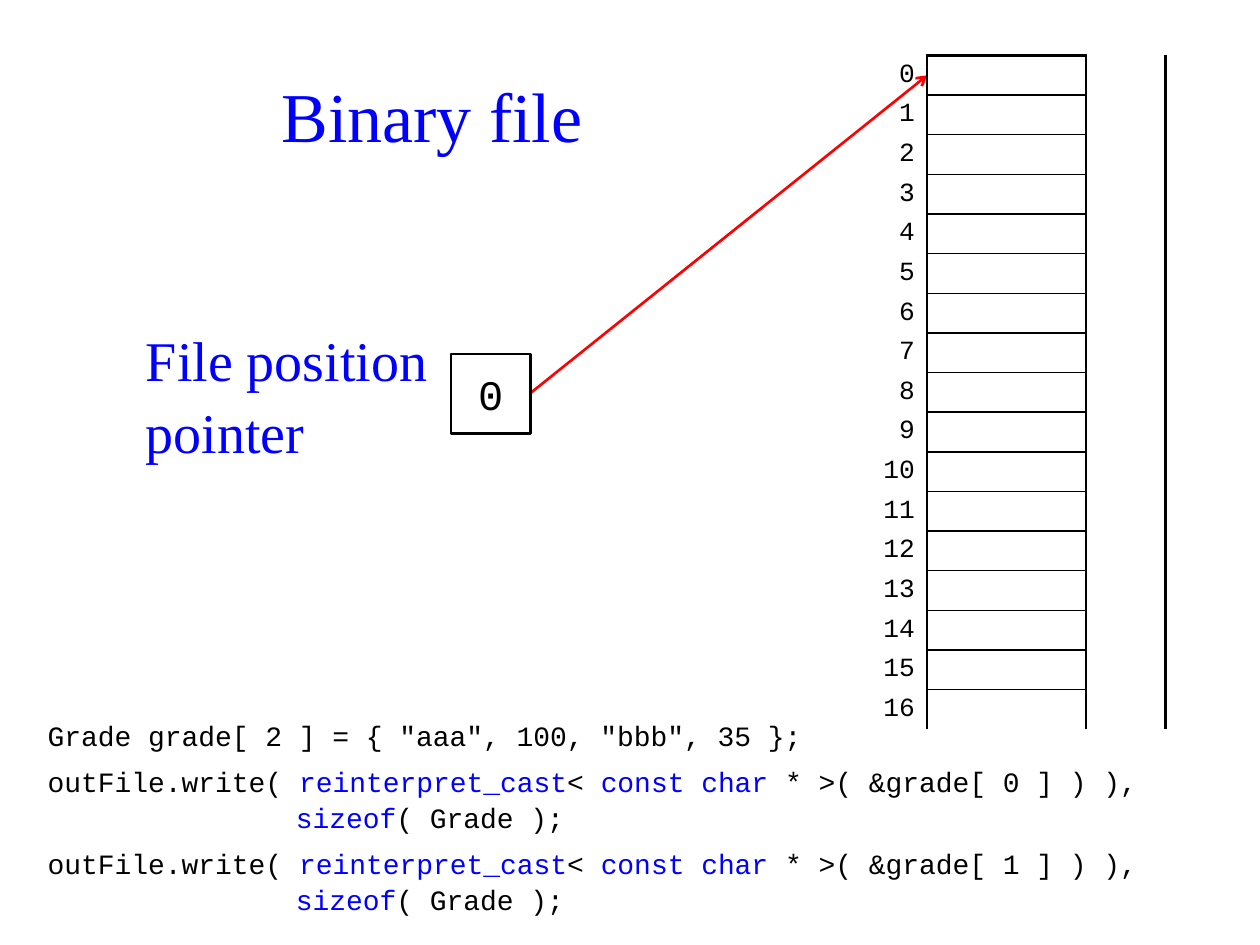
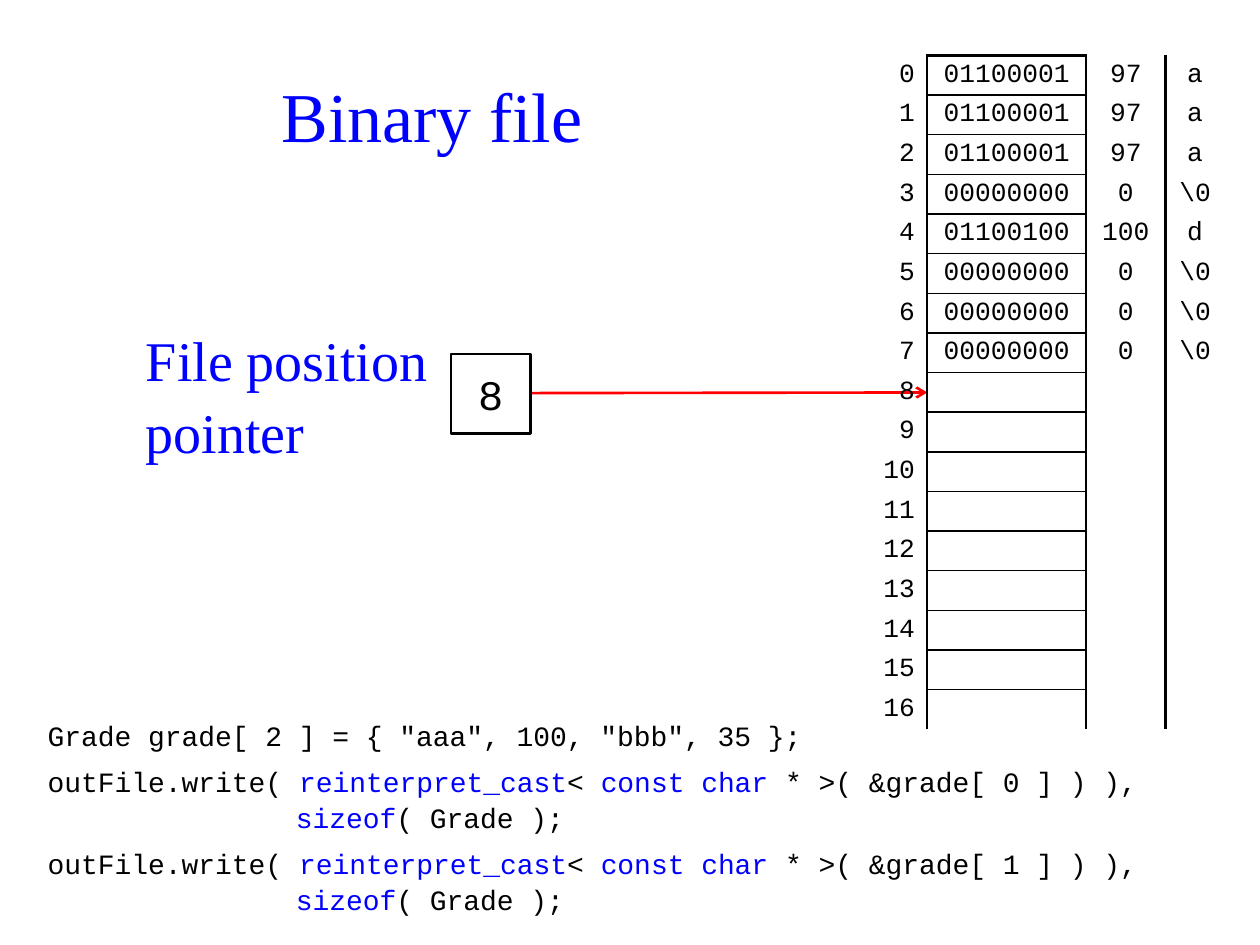
from pptx import Presentation
from pptx.dml.color import RGBColor
from pptx.enum.shapes import MSO_CONNECTOR, MSO_SHAPE
from pptx.enum.text import MSO_ANCHOR, PP_ALIGN
from pptx.oxml.ns import qn
from pptx.util import Inches, Pt
from lxml.etree import SubElement

INK = {"blue": "0000FF", "black": "000000", "red": "FF0000"}
SERIF, MONO = "Times New Roman", "Courier New"
LEFT, MID, RIGHT = PP_ALIGN.LEFT, PP_ALIGN.CENTER, PP_ALIGN.RIGHT

ROWS, TOP, HIGH = 17, 0.44, 5.35
STEP = HIGH / ROWS
COLS = [0.47, 1.26, 0.63, 0.47]
PADS = [0.1, 0.08, 0.06, 0.1]
EDGE = 6.89
PLAIN = "{2D5ABB26-0587-4C30-8999-92F81FD0307C}"


def put(frame, lines, size=15, font=MONO, ink="black", align=LEFT,
        before=0, space=None, hang=0):
    for i, line in enumerate(lines):
        para = frame.paragraphs[0] if i == 0 else frame.add_paragraph()
        para.alignment = align
        para.space_before = Pt(before)
        if space:
            para.line_spacing = space
        if hang:
            prop = para._p.get_or_add_pPr()
            prop.set("marL", str(Inches(hang)))
            prop.set("indent", str(-Inches(hang)))
        for part, tint in [(line, ink)] if isinstance(line, str) else line:
            run = para.add_run()
            run.text = part
            run.font.name = font
            run.font.size = Pt(size)
            run.font.color.rgb = RGBColor.from_string(INK[tint])


def rule(cell, side, width):
    line = SubElement(cell._tc.get_or_add_tcPr(), qn("a:" + side), w=str(Pt(width)))
    fill = SubElement(line, qn("a:solidFill"))
    SubElement(fill, qn("a:srgbClr"), val=INK["black"])


code = ['Grade grade[ 2 ] = { "aaa", 100, "bbb", 35 };']
for n in range(2):
    code.append([
        ("outFile.write( ", "black"), ("reinterpret_cast", "blue"),
        ("< ", "black"), ("const char", "blue"),
        (f" * >( &grade[ {n} ] ) ),\t", "black"),
        ("sizeof", "blue"), ("( Grade );", "black")])

deck = Presentation()
deck.slide_width, deck.slide_height = Inches(10), Inches(7.5)

for data in [], [97, 97, 97, 0, 100, 0, 0, 0]:
    slide = deck.slides.add_slide(deck.slide_layouts[6])
    spot = len(data)

    texts = [
        (0.28, TOP, 6.3, 0.94, MSO_ANCHOR.MIDDLE, ["Binary file"],
         dict(size=40, font=SERIF, ink="blue", align=MID)),
        (0.28, 5.64, 8.98, 1.57, MSO_ANCHOR.TOP, code,
         dict(size=16, before=6, space=1.06, hang=1.97)),
        (1.06, 2.49, 2.52, 1.26, MSO_ANCHOR.MIDDLE, ["File position", "pointer"],
         dict(size=32, font=SERIF, ink="blue", space=1.06))]
    for x, y, w, h, anchor, lines, form in texts:
        frame = slide.shapes.add_textbox(
            Inches(x), Inches(y), Inches(w), Inches(h)).text_frame
        frame.word_wrap = len(lines) != 2
        frame.vertical_anchor = anchor
        put(frame, lines, **form)

    arrow = slide.shapes.add_connector(
        MSO_CONNECTOR.STRAIGHT, Inches(4.21), Inches(3.12),
        Inches(EDGE + COLS[0]), Inches(TOP + STEP * (spot + 0.5)))
    arrow.line.color.rgb = RGBColor.from_string(INK["red"])
    arrow.line.width = Pt(1.5)
    SubElement(arrow.line._get_or_add_ln(), qn("a:tailEnd"), type="arrow")
    SubElement(arrow._element.spPr, qn("a:effectLst"))

    box = slide.shapes.add_shape(
        MSO_SHAPE.RECTANGLE, Inches(3.58), Inches(2.81), Inches(0.63), Inches(0.63))
    box.shadow.inherit = False
    box.fill.background()
    box.line.color.rgb = RGBColor.from_string(INK["black"])
    box.line.width = Pt(1.5)
    box.text_frame.word_wrap = False
    box.text_frame.vertical_anchor = MSO_ANCHOR.MIDDLE
    put(box.text_frame, [str(spot)], size=24, align=MID)

    table = slide.shapes.add_table(
        ROWS, len(COLS), Inches(EDGE), Inches(TOP),
        Inches(sum(COLS)), Inches(HIGH)).table
    table.first_row = table.horz_banding = False
    table._tbl.tblPr.find(qn("a:tableStyleId")).text = PLAIN
    for col, wide in zip(table.columns, COLS):
        col.width = Inches(wide)
    for r in range(ROWS):
        table.rows[r].height = Inches(STEP)
        words = [str(r), "", "", ""]
        if r < spot:
            code_no = data[r]
            mark = chr(code_no) if code_no else "\\0"
            words[1:] = [f"{code_no:08b}", str(code_no), mark]
        for c, word in enumerate(words):
            cell = table.cell(r, c)
            cell.vertical_anchor = MSO_ANCHOR.MIDDLE
            cell.margin_left = cell.margin_right = Inches(PADS[c])
            cell.margin_top = cell.margin_bottom = 0
            if word:
                put(cell.text_frame, [word], align=MID if c else RIGHT, before=3)
            else:
                cell.text_frame.paragraphs[0].font.size = Pt(15)
            if c == 0:
                rule(cell, "lnR", 1.5)
            elif c == 1:
                rule(cell, "lnL", 1.5)
                rule(cell, "lnR", 1.5)
                rule(cell, "lnT", 1 if r else 1.5)
                if r < ROWS - 1:
                    rule(cell, "lnB", 1)
            elif c == 2:
                rule(cell, "lnL", 1.5)
            cell.fill.background()

deck.save("out.pptx")
